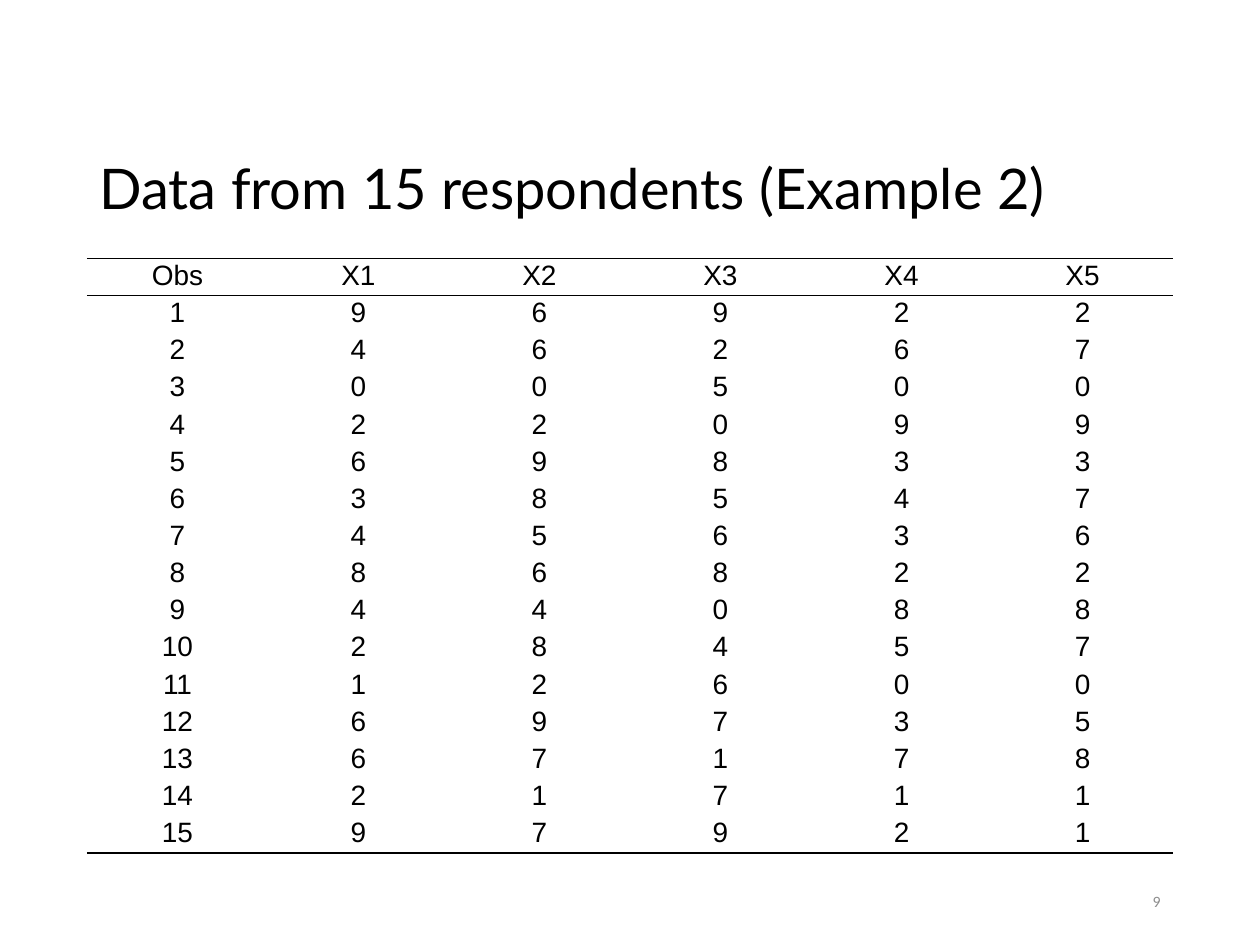
from lxml import etree
from pptx import Presentation, util as u
from pptx.dml.color import RGBColor
from pptx.enum import text
from pptx.oxml import ns

COLORS = {"ink": "000000", "muted": "8C8C8C"}
NO_STYLE = "{2D5ABB26-0587-4C30-8999-92F81FD0307C}"
HEADERS = ["Obs", "X1", "X2", "X3", "X4", "X5"]
RESPONSES = [
    "96922", "46267", "00500", "22099", "69833",
    "38547", "45636", "86822", "44088", "28457",
    "12600", "69735", "67178", "21711", "97921",
]
TABLE_HEIGHT = 4.72


def format_paragraph(p, size, font, color, align, spacing=1.0):
    p.alignment = align
    p.line_spacing = spacing
    for r in p.runs:
        r.font.size = u.Pt(size)
        r.font.name = font
        r.font.color.rgb = RGBColor.from_string(COLORS[color])


def add_text(s, box, content, size, font, color, align, spacing=1.0):
    sp = s.shapes.add_textbox(*map(u.Inches, box))
    tf = sp.text_frame
    tf.word_wrap = True
    tf.vertical_anchor = text.MSO_ANCHOR.MIDDLE
    tf.text = content
    format_paragraph(tf.paragraphs[0], size, font, color, align, spacing)


def add_border(cell, side, visible):
    tcPr = cell._tc.get_or_add_tcPr()
    ln = etree.SubElement(tcPr, ns.qn("a:ln" + side), w=str(u.Pt(1)))
    if visible:
        fill = etree.SubElement(ln, ns.qn("a:solidFill"))
        etree.SubElement(fill, ns.qn("a:srgbClr"), val=COLORS["ink"])
    else:
        etree.SubElement(ln, ns.qn("a:noFill"))


def format_cell(cell, content, borders):
    cell.text = content
    cell.margin_left = cell.margin_right = u.Inches(0.16)
    cell.margin_top = cell.margin_bottom = u.Inches(0.04)
    cell.vertical_anchor = text.MSO_ANCHOR.BOTTOM
    format_paragraph(cell.text_frame.paragraphs[0], 16, "Arial", "ink",
                     text.PP_ALIGN.CENTER, 0.8)
    for side in "LRTB":
        add_border(cell, side, side in borders)
    cell.fill.background()


def add_data_table(s, rows):
    last = len(rows) - 1
    borders = {0: "TB", 1: "T", last: "B"}
    frame = s.shapes.add_table(
        len(rows), len(HEADERS), u.Inches(0.69), u.Inches(2.05),
        u.Inches(8.62), u.Inches(TABLE_HEIGHT))
    table = frame.table
    table.first_row = table.horz_banding = False
    table._tbl.tblPr.find(ns.qn("a:tableStyleId")).text = NO_STYLE
    for i, row in enumerate(rows):
        table.rows[i].height = u.Inches(TABLE_HEIGHT / len(rows))
        for j, value in enumerate(row):
            format_cell(table.cell(i, j), value, borders.get(i, ""))


def main():
    prs = Presentation()
    prs.slide_width, prs.slide_height = u.Inches(10), u.Inches(7.5)
    s = prs.slides.add_slide(prs.slide_layouts[6])
    add_text(s, (0.69, 0.99, 8.62, 1.06), "Data from 15 respondents (Example 2)",
             32, "Lato", "ink", text.PP_ALIGN.LEFT, 0.9)
    rows = [HEADERS] + [[str(n), *values] for n, values in enumerate(RESPONSES, 1)]
    add_data_table(s, rows)
    add_text(s, (7.06, 6.95, 2.25, 0.4), "9", 9, "Calibri", "muted",
             text.PP_ALIGN.RIGHT)
    prs.save("out.pptx")


main()
